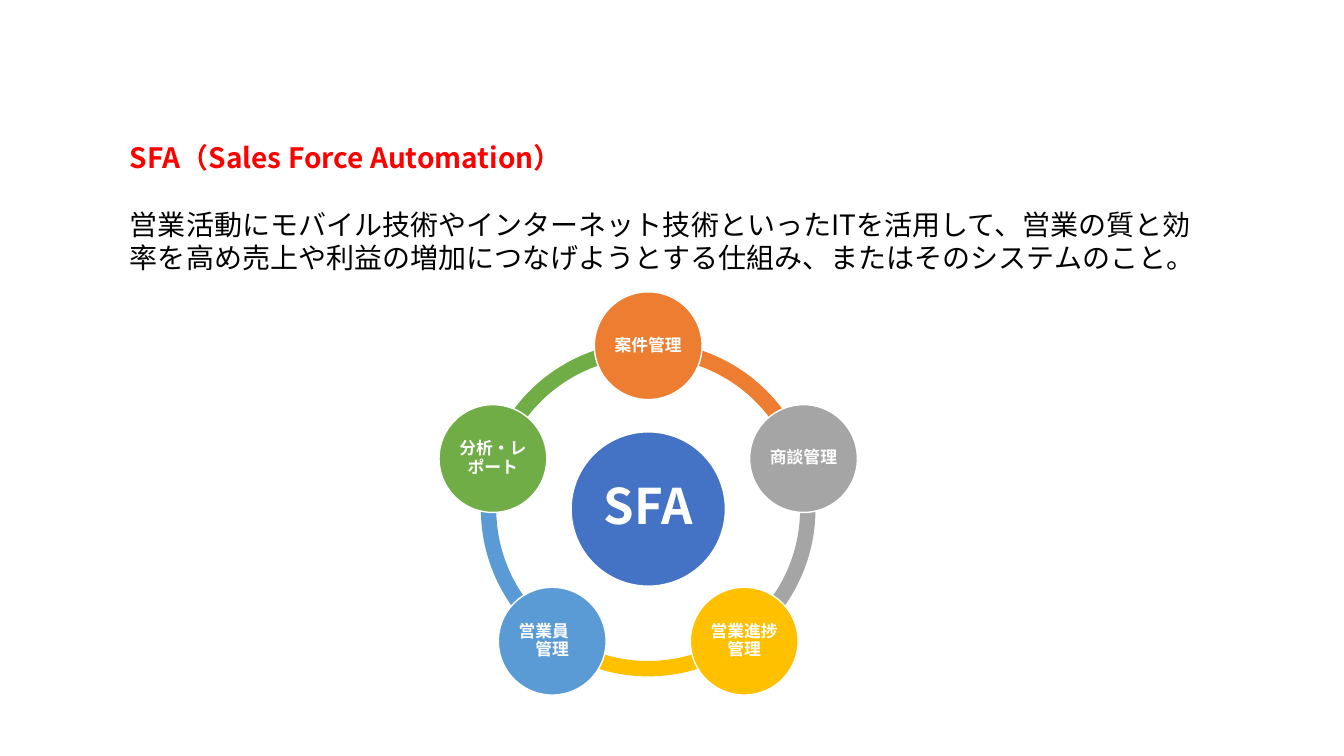
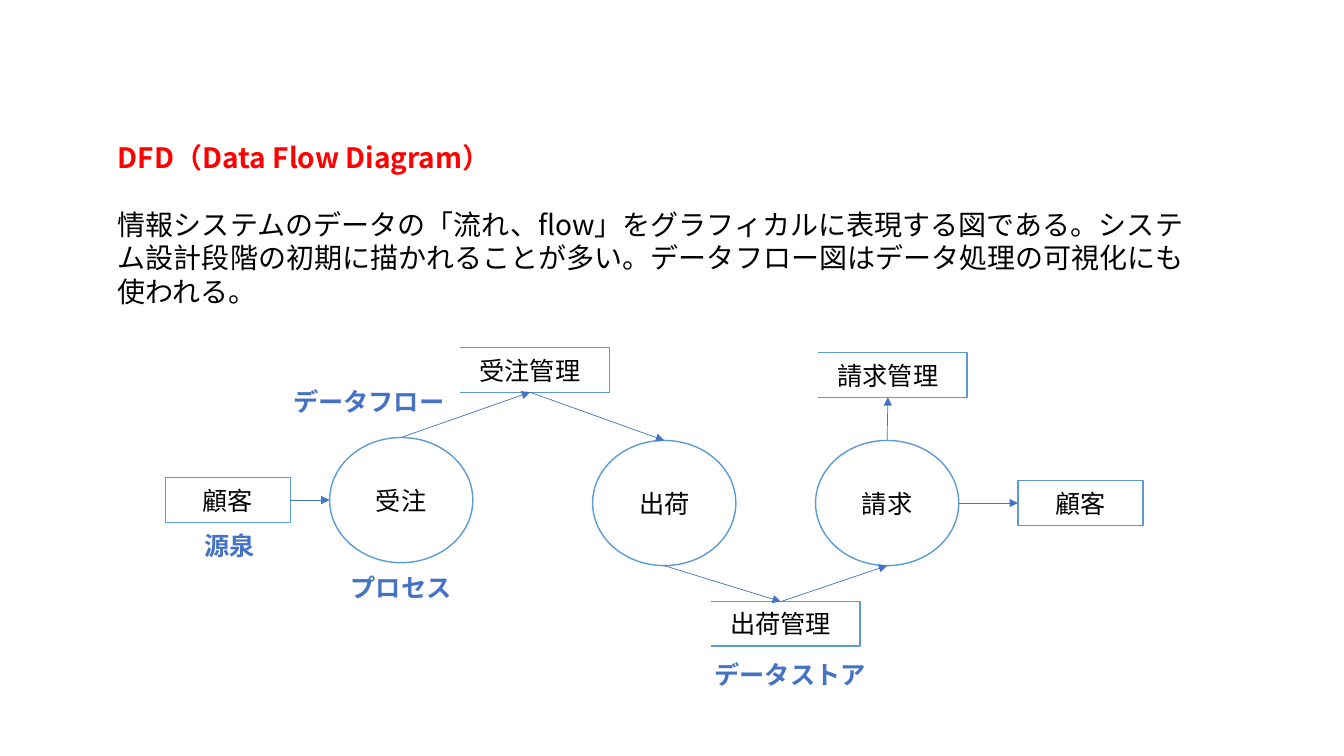
import math
from dataclasses import dataclass

from lxml import etree
from pptx import Presentation
from pptx import util as u
from pptx.dml.color import RGBColor
from pptx.enum import shapes, text
from pptx.oxml.ns import qn

KIND = shapes.MSO_SHAPE
TOP, LEFT, BOTTOM = 0, 1, 2  # connection sites of a rectangle


@dataclass(frozen=True)
class Theme:
    font: str = "Noto Sans CJK JP"
    red: str = "FF0000"
    black: str = "000000"
    white: str = "FFFFFF"
    blue: str = "4472C4"
    sky: str = "5B9BD5"
    green: str = "70AD47"
    gold: str = "FFC000"
    gray: str = "A5A5A5"
    orange: str = "ED7D31"
    body: int = 20
    hub: int = 35
    node: int = 12
    flow: int = 18


T = Theme()


@dataclass(frozen=True)
class Box:
    """A rectangle in EMU; sub() takes percentages of it."""
    x: int
    y: int
    w: int
    h: int

    def sub(self, x, y, w, h):
        return Box(int(self.x + self.w * x / 100), int(self.y + self.h * y / 100),
                   int(self.w * w / 100), int(self.h * h / 100))

    def spot(self, x, y):
        dot = self.sub(x, y, 0, 0)
        return dot.x, dot.y

    @property
    def rect(self):
        return self.x, self.y, self.w, self.h


def rgb(tone):
    return RGBColor.from_string(tone)


# Text and shape helpers
def add_run(para, words, size, tone, bold=False):
    run = para.add_run()
    run.text = words
    font = run.font
    font.size, font.bold, font.name = u.Pt(size), bold, T.font
    font.color.rgb = rgb(tone)
    east = etree.SubElement(run._r.get_or_add_rPr(), qn("a:ea"))
    east.set("typeface", T.font)


def add_text(slide, box, *lines, gap=0):
    frame = slide.shapes.add_textbox(*box.rect).text_frame
    frame.word_wrap = True
    for i, line in enumerate(lines):
        para = frame.add_paragraph() if i else frame.paragraphs[0]
        if i:
            para.space_before = u.Pt(gap)
        add_run(para, *line)


def paint(shape, fill=None, line=None):
    shape.shadow.inherit = False
    if fill:
        shape.fill.solid()
        shape.fill.fore_color.rgb = rgb(fill)
    else:
        shape.fill.background()
    if line:
        shape.line.color.rgb = rgb(line)
        shape.line.width = u.Pt(1)
    else:
        shape.line.fill.background()


def add_shape(slide, kind, box, fill, line=None):
    shape = slide.shapes.add_shape(kind, *box.rect)
    paint(shape, fill, line)
    return shape


def label(shape, words, size, tone, bold=False, pad=0.05, lead=1.0):
    frame = shape.text_frame
    frame.word_wrap = True
    frame.vertical_anchor = text.MSO_ANCHOR.MIDDLE
    frame.margin_left = frame.margin_right = u.Inches(pad)
    frame.margin_top = frame.margin_bottom = u.Inches(pad)
    para = frame.paragraphs[0]
    para.alignment = text.PP_ALIGN.CENTER
    para.line_spacing = lead
    add_run(para, words, size, tone, bold)


# Heading and definition
def intro(slide, box, title, body):
    add_text(slide, box, (title, T.body, T.red, True), (body, T.body, T.black), gap=24)


# Ring of nodes around a hub
def cycle(slide, box, hub, nodes):
    step = 360 / len(nodes)
    turns = [(270 + step * i) % 360 for i in range(len(nodes))]
    for turn, (_, tone) in zip(turns, nodes):
        arc = add_shape(slide, KIND.BLOCK_ARC, box, tone)
        ends = turn, (turn + step) % 360
        for i, angle in enumerate(ends):
            arc.adjustments[i] = angle * 0.6  # 60000 units a degree
        arc.adjustments[2] = 0.046

    def disc(x, y, size, words, tone, points, pad):
        spot = box.sub(x - size / 2, y - size / 2, size, size)
        shape = add_shape(slide, KIND.OVAL, spot, tone, T.white)
        label(shape, words, points, T.white, True, pad, 0.9)

    disc(50, 50, 46.1, hub, T.blue, T.hub, 0.05)
    for turn, (words, tone) in zip(turns, nodes):
        rad = math.radians(turn)
        disc(50 + 48.8 * math.cos(rad), 50 + 48.8 * math.sin(rad),
             32.2, words, tone, T.node, 0.02)


# Data flow diagram
def flow(slide, box):
    def block(kind, spot, words, line=T.sky):
        shape = add_shape(slide, kind, spot, T.white, line)
        label(shape, words, T.flow, T.black)
        return shape

    def party(x, y):
        return block(KIND.FLOWCHART_PROCESS, box.sub(x, y, 12.8, 12.8), "顧客")

    def task(x, y, words):
        spot = box.sub(x, y, 14.65, 36)
        block(KIND.OVAL, spot, words)
        return spot

    def store(x, y, words):
        spot = box.sub(x, y, 16.2, 12.8)
        shape = block(KIND.FLOWCHART_PROCESS, spot, words, None)
        pen = slide.shapes.build_freeform(*spot.spot(6, 0))
        pen.add_line_segments([spot.spot(100, 0), spot.spot(100, 100),
                               spot.spot(6, 100)], close=False)
        paint(pen.convert_to_shape(), line=T.sky)
        return shape

    def arrow(start, end):
        """Each end is a point, or a rectangle with its site."""
        line = slide.shapes.add_connector(shapes.MSO_CONNECTOR.STRAIGHT, 0, 0, 0, 0)
        if isinstance(start[0], int):
            line.begin_x, line.begin_y = start
        else:
            line.begin_connect(*start)
        if isinstance(end[0], int):
            line.end_x, line.end_y = end
        else:
            line.end_connect(*end)
        line.line.color.rgb = rgb(T.blue)
        line.line.width = u.Pt(0.5)
        tip = etree.SubElement(line.line._get_or_add_ln(), qn("a:tailEnd"))
        tip.set("type", "triangle")
        etree.SubElement(line._element.spPr, qn("a:effectLst"))

    # Parties, processes and stores
    source, sink = party(0, 37.4), party(87.2, 38.25)
    order = task(16.8, 25.8, "受注")
    ship = task(43.7, 26.65, "出荷")
    bill = task(66.5, 26.65, "請求")
    orders = store(29.2, 0, "受注管理")
    goods = store(54.85, 73, "出荷管理")
    bills = store(65.8, 1.45, "請求管理")

    # Flows
    for start, end in (
        ((source, 3), order.spot(0, 50)),
        (order.spot(50, 0), (orders, BOTTOM)),
        ((orders, BOTTOM), ship.spot(50, 0)),
        (ship.spot(50, 100), (goods, TOP)),
        ((goods, TOP), bill.spot(50, 100)),
        (bill.spot(50, 0), (bills, BOTTOM)),
        (bill.spot(100, 50), (sink, LEFT)),
    ):
        arrow(start, end)

    # Names of the parts
    for x, y, w, words in ((3, 51, 9.1, "源泉"), (17.95, 63.2, 14, "プロセス"),
                           (55.15, 88.1, 18.45, "データストア"),
                           (12.05, 9.55, 18.45, "データフロー")):
        add_text(slide, box.sub(x, y, w, 11.6), (words, T.flow, T.blue, True))


def main():
    deck = Presentation()
    deck.slide_width, deck.slide_height = u.Inches(13.33), u.Inches(7.5)
    page = Box(0, 0, deck.slide_width, deck.slide_height)
    blank = deck.slide_layouts[6]

    slide = deck.slides.add_slide(blank)
    intro(slide, page.sub(8.93, 17.87, 82.15, 19.33), "SFA（Sales Force Automation）",
          "営業活動にモバイル技術やインターネット技術といったITを活用して、営業の質と効率を高め"
          "売上や利益の増加につなげようとする仕組み、またはそのシステムのこと。")
    cycle(slide, page.sub(35.78, 45.2, 24.9, 44.27), "SFA", (
        ("案件管理", T.orange), ("商談管理", T.gray), ("営業進捗管理", T.gold),
        ("営業員　管理", T.sky), ("分析・レポート", T.green)))

    slide = deck.slides.add_slide(blank)
    intro(slide, page.sub(8.03, 17.87, 82.15, 23.73), "DFD（Data Flow Diagram）",
          "情報システムのデータの「流れ、flow」をグラフィカルに表現する図である。システム設計段階の"
          "初期に描かれることが多い。データフロー図はデータ処理の可視化にも使われる。")
    flow(slide, page.sub(12.3, 46, 72.75, 46))

    deck.save("out.pptx")


if __name__ == "__main__":
    main()
